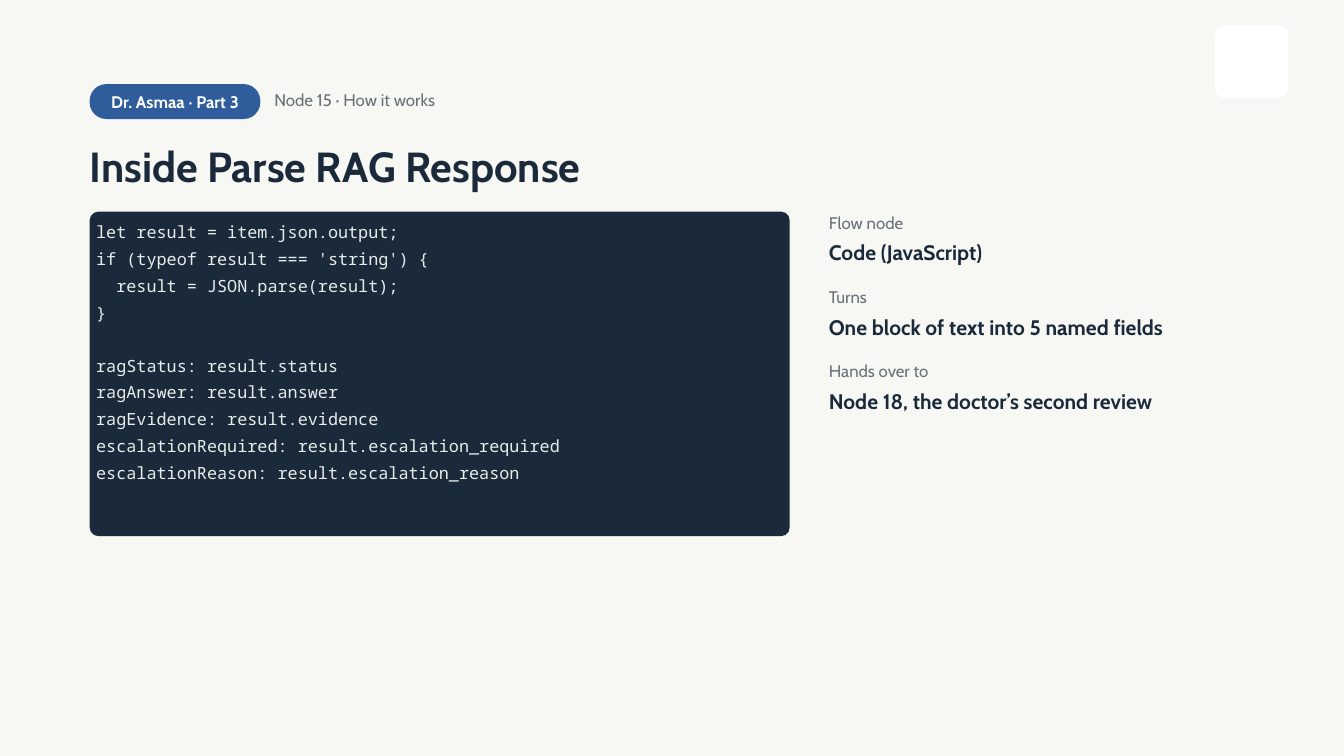
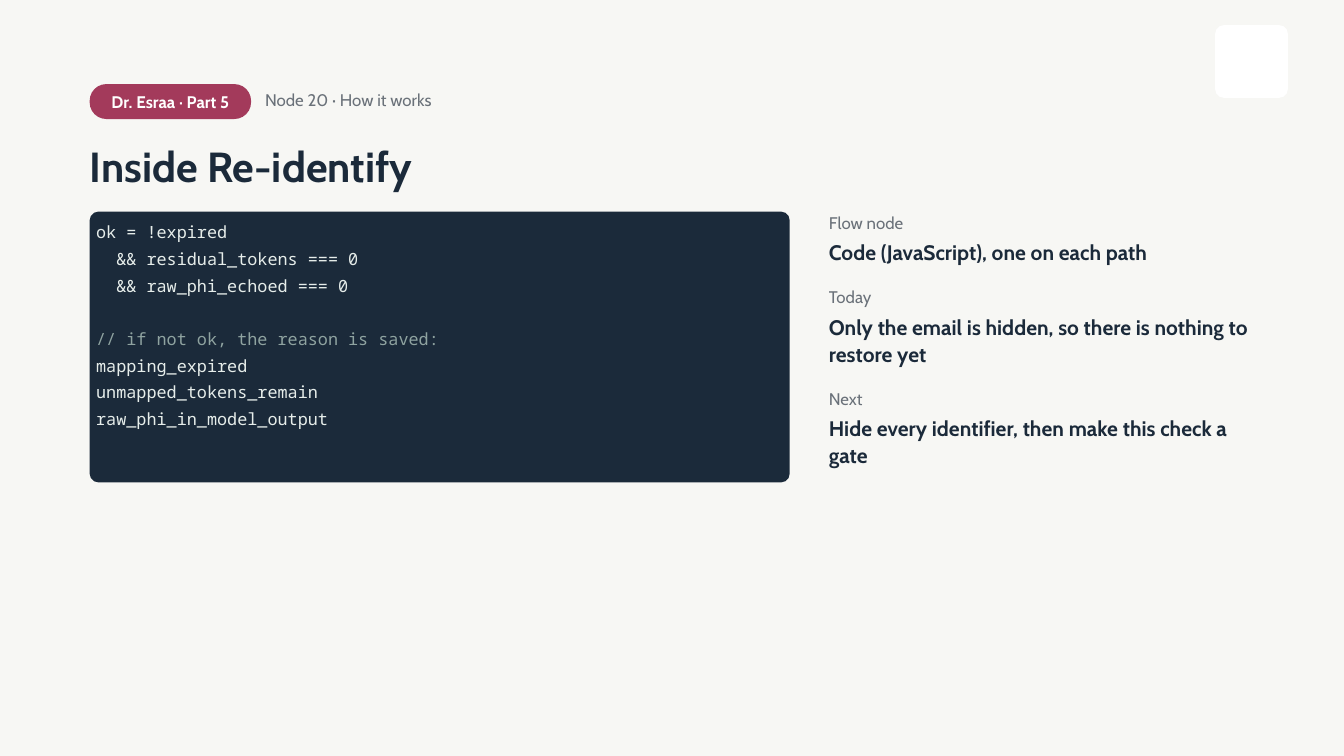
import pptx
import pptx.dml.color
import pptx.enum.shapes
import pptx.enum.text
import pptx.util
from pptx.util import Cm

COLORS = {
    "background": "F7F7F4",
    "white": "FFFFFF",
    "ink": "1B2A3A",
    "muted": "6A7179",
    "code": "E6EDEA",
    "comment": "8FA3A0",
    "blue": "2F5D9B",
    "berry": "A33A5B",
}
SANS = "Cabin"
MONO = "Noto Sans Mono"
LEFT = 3.39
PANEL_TOP = 8
CODE_LINE = 28.8
VALUE_LINE = 29.2
CM_PER_POINT = 2.54 / 72
LABEL_HEIGHT = 1.09
FACT_GAP = 0.54

SLIDES = [
    {
        "badge": "Dr. Asmaa · Part 3",
        "badge_color": "blue",
        "badge_width": 6.45,
        "step": "Node 15 · How it works",
        "title": "Inside Parse RAG Response",
        "code": [
            "let result = item.json.output;",
            "if (typeof result === 'string') {",
            "  result = JSON.parse(result);",
            "}",
            "",
            "ragStatus: result.status",
            "ragAnswer: result.answer",
            "ragEvidence: result.evidence",
            "escalationRequired: result.escalation_required",
            "escalationReason: result.escalation_reason",
        ],
        "facts": [
            ("Flow node", "Code (JavaScript)", 1),
            ("Turns", "One block of text into 5 named fields", 1),
            ("Hands over to", "Node 18, the doctor’s second review", 1),
        ],
    },
    {
        "badge": "Dr. Esraa · Part 5",
        "badge_color": "berry",
        "badge_width": 6.1,
        "step": "Node 20 · How it works",
        "title": "Inside Re-identify",
        "code": [
            "ok = !expired",
            "  && residual_tokens === 0",
            "  && raw_phi_echoed === 0",
            "",
            "// if not ok, the reason is saved:",
            "mapping_expired",
            "unmapped_tokens_remain",
            "raw_phi_in_model_output",
        ],
        "facts": [
            ("Flow node", "Code (JavaScript), one on each path", 1),
            ("Today", "Only the email is hidden, so there is nothing to restore yet", 2),
            ("Next", "Hide every identifier, then make this check a gate", 2),
        ],
    },
]


def rgb(name):
    return pptx.dml.color.RGBColor.from_string(COLORS[name])


def write_text(paragraph, text, size=18, color="muted", font=SANS, bold=False,
               line=25.2, align=pptx.enum.text.PP_ALIGN.LEFT, before=0):
    paragraph.alignment = align
    paragraph.line_spacing = pptx.util.Pt(line)
    paragraph.space_before = pptx.util.Pt(before)
    run = paragraph.add_run()
    run.text = text
    run.font.name = font
    run.font.size = pptx.util.Pt(size)
    run.font.bold = bold
    run.font.color.rgb = rgb(color)


def set_frame(shape, left=0, top=0, right=0, bottom=0, anchor="TOP"):
    frame = shape.text_frame
    frame.word_wrap = True
    frame.auto_size = pptx.enum.text.MSO_AUTO_SIZE.NONE
    frame.vertical_anchor = pptx.enum.text.MSO_ANCHOR[anchor]
    frame.margin_left, frame.margin_top = Cm(left), Cm(top)
    frame.margin_right, frame.margin_bottom = Cm(right), Cm(bottom)
    return frame


def add_rounded_box(slide, left, top, width, height, color, radius=0.33):
    shape = slide.shapes.add_shape(
        pptx.enum.shapes.MSO_SHAPE.ROUNDED_RECTANGLE,
        Cm(left), Cm(top), Cm(width), Cm(height))
    shape.adjustments[0] = radius / min(width, height)
    shape.shadow.inherit = False
    shape.fill.solid()
    shape.fill.fore_color.rgb = rgb(color)
    shape.line.fill.background()
    return shape


def add_label(slide, text, left, top, width, height, **text_format):
    box = slide.shapes.add_textbox(Cm(left), Cm(top), Cm(width), Cm(height))
    write_text(set_frame(box).paragraphs[0], text, **text_format)


def add_title(slide, text):
    title = slide.shapes.title
    title.left, title.top = Cm(LEFT), Cm(5.41)
    title.width, title.height = Cm(40.33), Cm(1.85)
    write_text(set_frame(title).paragraphs[0], text,
               size=45, color="ink", bold=True, line=51.7)


def add_badge(slide, text, color, width):
    badge = add_rounded_box(slide, LEFT, 3.18, width, 1.32, color, radius=0.63)
    frame = set_frame(badge, 0.15, 0, 0.15, 0.08, "MIDDLE")
    write_text(frame.paragraphs[0], text, color="white", bold=True,
               align=pptx.enum.text.PP_ALIGN.CENTER)


def add_code_panel(slide, lines):
    height = len(lines) * CODE_LINE * CM_PER_POINT + 2.11
    panel = add_rounded_box(slide, LEFT, PANEL_TOP, 26.46, height, "ink")
    frame = set_frame(panel, 0.15, 0.03, 0.15, 0.15)
    paragraph = frame.paragraphs[0]
    before = 0
    for index, line in enumerate(lines):
        if not line:
            before = 28
            continue
        if index:
            paragraph = frame.add_paragraph()
        color = "comment" if line.startswith("//") else "code"
        write_text(paragraph, line, color=color, font=MONO,
                   line=CODE_LINE, before=before)
        before = 0


def add_facts(slide, facts):
    left, width, top = 31.33, 16.56, 7.9
    for label, value, line_count in facts:
        add_label(slide, label, left, top, width, LABEL_HEIGHT)
        top += LABEL_HEIGHT
        height = line_count * VALUE_LINE * CM_PER_POINT + 0.15
        add_label(slide, value, left, top, width, height,
                  size=22.5, color="ink", bold=True, line=VALUE_LINE)
        top += height + FACT_GAP


def add_node_slide(presentation, content):
    slide = presentation.slides.add_slide(presentation.slide_layouts[5])
    add_rounded_box(slide, 45.93, 0.95, 2.75, 2.75, "white")
    add_badge(slide, content["badge"], content["badge_color"], content["badge_width"])
    add_label(slide, content["step"], LEFT + content["badge_width"] + 0.53, 3.28, 7.95, 1.09)
    add_title(slide, content["title"])
    add_code_panel(slide, content["code"])
    add_facts(slide, content["facts"])


def main():
    presentation = pptx.Presentation()
    presentation.slide_width = Cm(50.8)
    presentation.slide_height = Cm(28.58)
    background = presentation.slide_master.background.fill
    background.solid()
    background.fore_color.rgb = rgb("background")
    for content in SLIDES:
        add_node_slide(presentation, content)
    presentation.save("out.pptx")


if __name__ == "__main__":
    main()
